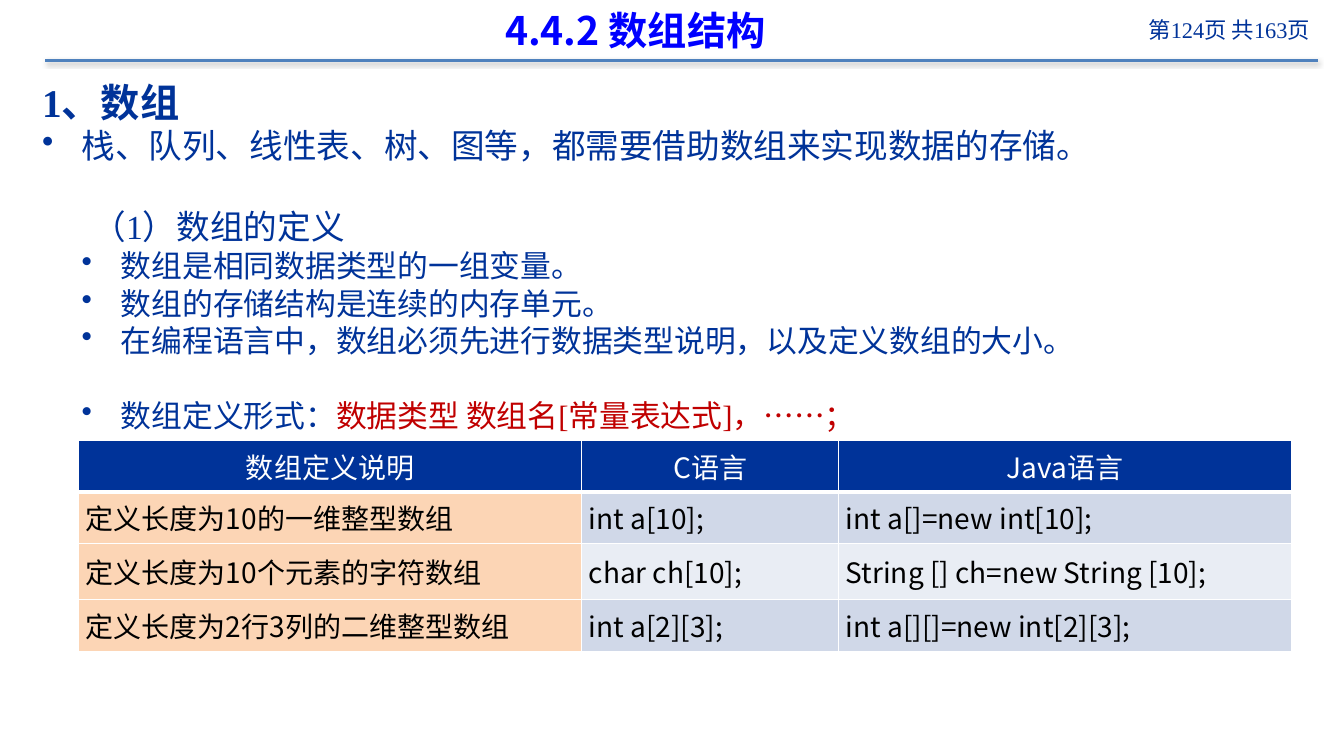
"""Build the slide on array structures with its definition table."""
from dataclasses import dataclass

from lxml import etree
from pptx import Presentation
from pptx import util as u
from pptx.dml.color import RGBColor
from pptx.enum import shapes, text
from pptx.oxml import ns

WIDTH = u.Inches(13.33)
HEIGHT = u.Inches(7.5)


@dataclass(frozen=True)
class Theme:
    sans: str = "Noto Sans CJK SC"
    serif: str = "Times New Roman"
    navy: str = "003399"
    title: str = "0000FF"
    accent: str = "C00000"
    rule: str = "4F81BD"
    white: str = "FFFFFF"
    black: str = "000000"
    label: str = "FCD5B5"
    bands: tuple[str, str] = ("D0D8E8", "E9EDF4")
    title_size: float = 28
    topic_size: float = 24
    point_size: float = 22
    table_size: float = 20
    number_size: float = 16


THEME = Theme()


@dataclass(frozen=True)
class Frame:
    """Place and size in percent of the slide."""
    left: float
    top: float
    width: float
    height: float

    def lengths(self) -> tuple[int, int, int, int]:
        return across(self.left), down(self.top), across(self.width), down(self.height)


@dataclass(frozen=True)
class Style:
    size: float
    color: str = THEME.navy
    font: str = THEME.serif
    bold: bool = False
    align: text.PP_ALIGN = text.PP_ALIGN.LEFT


@dataclass(frozen=True)
class Line:
    words: str
    style: Style
    pitch: float
    level: int = 0
    bullet: bool = False
    before: float = 0.3
    marked: str = ""


TOPIC = Style(THEME.topic_size)
POINT = Style(THEME.point_size)
TOPIC_PITCH = 28.6
POINT_PITCH = 26.5
INDENT = 2.93

BODY = [
    Line("1、数组", Style(THEME.title_size, bold=True), 36, before=0),
    Line("栈、队列、线性表、树、图等，都需要借助数组来实现数据的存储。",
         TOPIC, TOPIC_PITCH, 1, True),
    Line("（1）数组的定义", TOPIC, TOPIC_PITCH, 1, before=29.2),
    Line("数组是相同数据类型的一组变量。", POINT, POINT_PITCH, 2, True),
    Line("数组的存储结构是连续的内存单元。", POINT, POINT_PITCH, 2, True),
    Line("在编程语言中，数组必须先进行数据类型说明，以及定义数组的大小。",
         POINT, POINT_PITCH, 2, True),
    Line("数组定义形式：", POINT, POINT_PITCH, 2, True, 27.1,
         "数据类型 数组名[常量表达式]，……；"),
]

COLUMNS = (37.43, 19.13, 33.68)
ROWS = (6.8, 6.8, 7.47, 6.8)
DEFINITIONS = [
    ("数组定义说明", "C语言", "Java语言"),
    ("定义长度为10的一维整型数组", "int a[10];", "int a[]=new int[10];"),
    ("定义长度为10个元素的字符数组", "char ch[10];", "String [] ch=new String [10];"),
    ("定义长度为2行3列的二维整型数组", "int a[2][3];", "int a[][]=new int[2][3];"),
]


def across(share: float) -> int:
    return round(WIDTH * share / 100)


def down(share: float) -> int:
    return round(HEIGHT * share / 100)


def element(parent, tag: str, **attributes: str):
    return etree.SubElement(parent, ns.qn(f"a:{tag}"), attributes)


def write(para, words: str, style: Style) -> None:
    para.add_run().text = words
    para.alignment = style.align
    font = para.font
    font.size = u.Pt(style.size)
    font.bold = style.bold
    font.color.rgb = RGBColor.from_string(style.color)
    font.name = style.font
    defaults = para._p.get_or_add_pPr().find(ns.qn("a:defRPr"))
    element(defaults, "ea", typeface=THEME.sans)


def add_box(page, frame: Frame, anchor=text.MSO_ANCHOR.TOP):
    box = page.shapes.add_textbox(*frame.lengths()).text_frame
    box.word_wrap = True
    box.vertical_anchor = anchor
    return box


def add_line(para, line: Line) -> None:
    para.level = line.level
    para.line_spacing = u.Pt(line.pitch)
    para.space_before = u.Pt(line.before)
    if line.bullet:
        properties = para._p.get_or_add_pPr()
        properties.set("marL", str(across(INDENT * line.level)))
        properties.set("indent", str(-across(INDENT)))
        element(properties, "buChar", char="•")
    write(para, line.words, line.style)
    if line.marked:
        span = para.add_run()
        span.text = line.marked
        span.font.color.rgb = RGBColor.from_string(THEME.accent)


def add_rule(page) -> None:
    rule = page.shapes.add_connector(
        shapes.MSO_CONNECTOR.STRAIGHT, across(3.38), down(8), across(98.05), down(8))
    rule.line.color.rgb = RGBColor.from_string(THEME.rule)
    rule.line.width = u.Pt(2)
    effects = element(rule._element.spPr, "effectLst")
    shadow = element(effects, "outerShdw", blurRad=str(u.Pt(3.1)),
                     dist=str(u.Pt(1.6)), dir="5400000", rotWithShape="0")
    element(element(shadow, "srgbClr", val=THEME.black), "alpha", val="38000")


def add_borders(cell, bottom: float) -> None:
    properties = cell._tc.get_or_add_tcPr()
    for side, width in (("lnL", 1), ("lnR", 1), ("lnT", 1), ("lnB", bottom)):
        border = element(properties, side, w=str(u.Pt(width)))
        element(element(border, "solidFill"), "srgbClr", val=THEME.white)


def fill_cell(cell, words: str, row: int, column: int) -> None:
    header = row == 0
    add_borders(cell, 3 if header else 1)
    fill = THEME.navy if header else THEME.label if column == 0 else THEME.bands[(row - 1) % 2]
    cell.fill.solid()
    cell.fill.fore_color.rgb = RGBColor.from_string(fill)
    cell.margin_left = cell.margin_right = u.Inches(0.07)
    cell.margin_top = cell.margin_bottom = 0
    cell.vertical_anchor = text.MSO_ANCHOR.MIDDLE
    color = THEME.white if header else THEME.black
    align = text.PP_ALIGN.CENTER if header else text.PP_ALIGN.JUSTIFY
    write(cell.text_frame.paragraphs[0], words,
          Style(THEME.table_size, color, THEME.sans, align=align))


def add_definitions(page) -> None:
    frame = Frame(5.85, 58.27, sum(COLUMNS), sum(ROWS))
    table = page.shapes.add_table(len(ROWS), len(COLUMNS), *frame.lengths()).table
    table.first_row = table.horz_banding = False
    for column, share in zip(table.columns, COLUMNS):
        column.width = across(share)
    for row, share in zip(table.rows, ROWS):
        row.height = down(share)
    for row, entries in enumerate(DEFINITIONS):
        for column, words in enumerate(entries):
            fill_cell(table.cell(row, column), words, row, column)


def main() -> None:
    deck = Presentation()
    deck.slide_width, deck.slide_height = WIDTH, HEIGHT
    page = deck.slides.add_slide(deck.slide_layouts[6])
    add_rule(page)
    number = add_box(page, Frame(81.25, 1.47, 16.95, 6))
    write(number.paragraphs[0], "第124页 共163页",
          Style(THEME.number_size, align=text.PP_ALIGN.RIGHT))
    title = add_box(page, Frame(5.78, 0.27, 82.97, 7.47), text.MSO_ANCHOR.MIDDLE)
    write(title.paragraphs[0], "4.4.2 数组结构",
          Style(THEME.title_size, THEME.title, THEME.sans, True, text.PP_ALIGN.CENTER))
    body = add_box(page, Frame(2.4, 9.2, 95.57, 87.47))
    for index, line in enumerate(BODY):
        add_line(body.add_paragraph() if index else body.paragraphs[0], line)
    add_definitions(page)
    deck.save("out.pptx")


if __name__ == "__main__":
    main()
